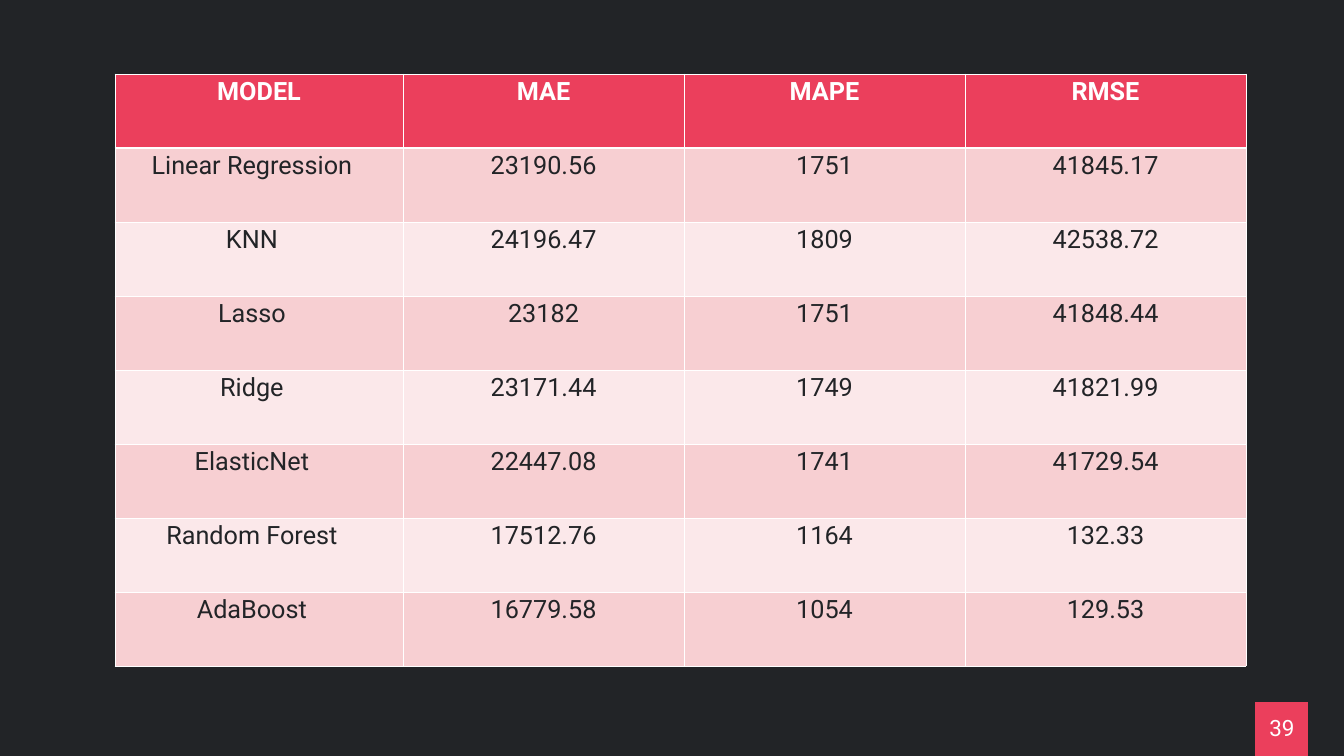
from lxml import etree
from pptx import Presentation, util as u
from pptx.dml.color import RGBColor
from pptx.enum import shapes, text
from pptx.oxml.ns import qn

SCALE = 914400 / 67.2
DARK, RED, WHITE = "222427", "EB3F5C", "FFFFFF"
BANDS = ["F7CFD2", "FBE8EA"]

HEAD = ["MODEL", "MAE", "MAPE", "RMSE"]
SCORES = [
    ["Linear Regression", "23190.56", "1751", "41845.17"],
    ["KNN", "24196.47", "1809", "42538.72"],
    ["Lasso", "23182", "1751", "41848.44"],
    ["Ridge", "23171.44", "1749", "41821.99"],
    ["ElasticNet", "22447.08", "1741", "41729.54"],
    ["Random Forest", "17512.76", "1164", "132.33"],
    ["AdaBoost", "16779.58", "1054", "129.53"],
]


def px(n):
    return u.Emu(round(n * SCALE))


def paint(fill, color):
    fill.solid()
    fill.fore_color.rgb = RGBColor.from_string(color)


def write(frame, words, size=27, color=DARK, bold=False):
    para = frame.paragraphs[0]
    para.alignment = text.PP_ALIGN.CENTER
    run = para.add_run()
    run.text = words
    run.font.name = "Roboto"
    run.font.size = u.Pt(size)
    run.font.bold = bold
    run.font.color.rgb = RGBColor.from_string(color)


def edge(cell, side, width):
    props = cell._tc.get_or_add_tcPr()
    line = etree.SubElement(props, qn("a:ln" + side), w=str(u.Pt(width)))
    solid = etree.SubElement(line, qn("a:solidFill"))
    etree.SubElement(solid, qn("a:srgbClr"), val=WHITE)


class Deck:
    def __init__(self, wide, high):
        self.prs = Presentation()
        self.prs.slide_width, self.prs.slide_height = px(wide), px(high)
        self.slide = self.prs.slides.add_slide(self.prs.slide_layouts[6])
        paint(self.slide.background.fill, DARK)

    def rect(self, x, y, w, h, color):
        box = self.slide.shapes.add_shape(
            shapes.MSO_SHAPE.RECTANGLE, px(x), px(y), px(w), px(h))
        box.shadow.inherit = False
        box.line.fill.background()
        paint(box.fill, color)

    def label(self, x, y, w, h, words, **style):
        frame = self.slide.shapes.add_textbox(
            px(x), px(y), px(w), px(h)).text_frame
        frame.word_wrap = True
        frame.vertical_anchor = text.MSO_ANCHOR.MIDDLE
        frame.margin_left = frame.margin_right = 0
        write(frame, words, **style)

    def table(self, x, y, widths, high, rows):
        grid = self.slide.shapes.add_table(
            len(rows), len(widths), px(x), px(y),
            px(sum(widths)), px(high * len(rows))).table
        for col, wide in zip(grid.columns, widths):
            col.width = px(wide)
        for r, row in enumerate(rows):
            grid.rows[r].height = px(high)
            for c, words in enumerate(row):
                self.cell(grid.cell(r, c), r, c, words)

    def cell(self, cell, r, c, words):
        head = r == 0
        for side in "LRTB":
            thick = (side == "B" and head) or (side == "T" and r == 1)
            edge(cell, side, 3 if thick else 1)
        paint(cell.fill, RED if head else BANDS[(r - 1) % 2])
        if c == 0 and not head:
            cell.margin_right = px(21)
        write(cell.text_frame, words, color=WHITE if head else DARK, bold=head)


def main():
    deck = Deck(1344, 756)
    deck.rect(1255, 702, 53, 54, RED)
    deck.label(1255, 708, 54, 40, "39", size=24, color=WHITE)
    deck.table(115, 74, [288, 281, 281, 281], 74, [HEAD] + SCORES)
    deck.prs.save("out.pptx")


if __name__ == "__main__":
    main()
